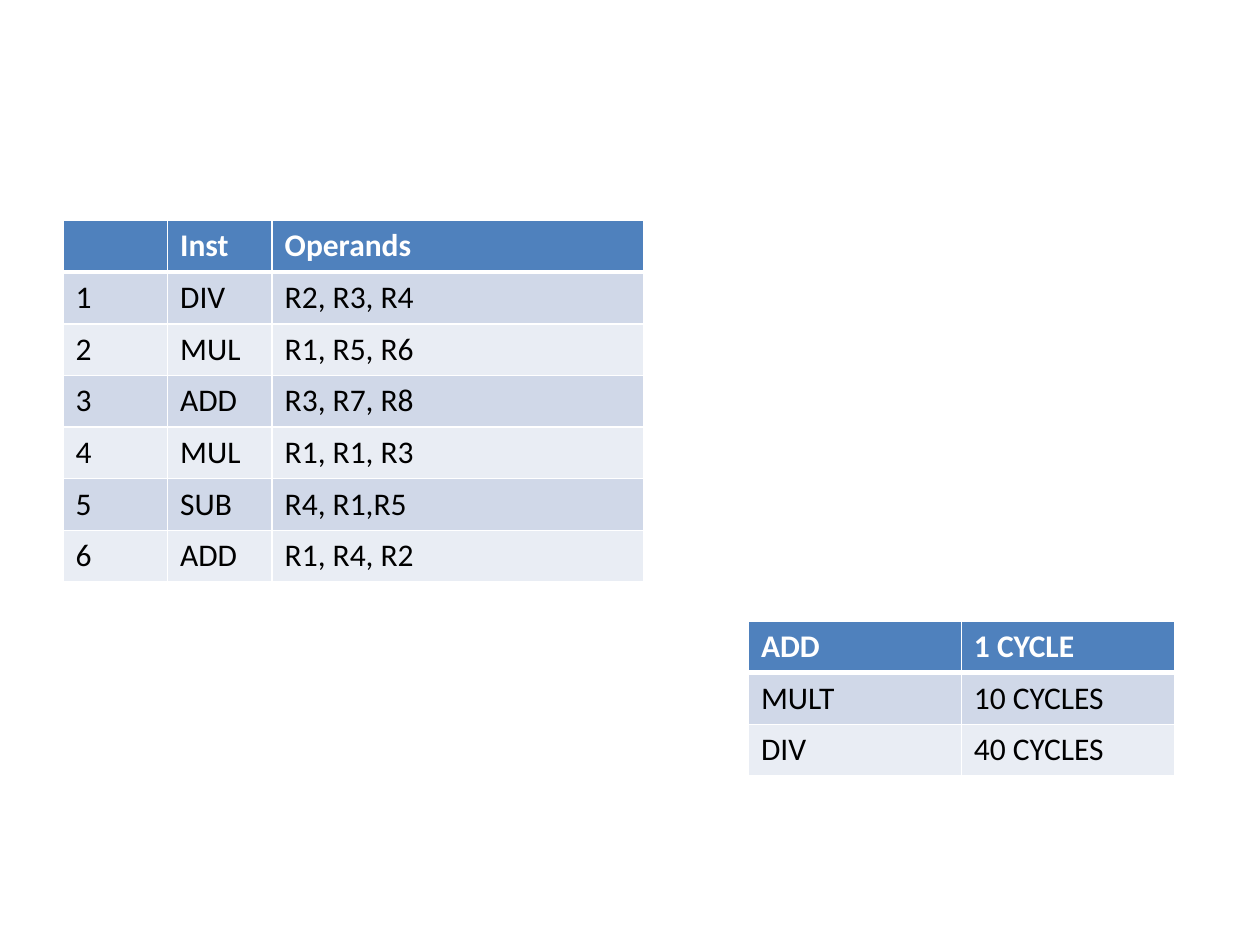
from pptx import Presentation
from pptx.dml.color import RGBColor as RGB
from pptx.oxml import parse_xml
from pptx.oxml.ns import nsdecls
from pptx.util import Inches, Pt

THEME = {
    "header": RGB.from_string("4F81BD"),
    "bands": [RGB.from_string("E9EDF4"), RGB.from_string("D0D8E8")],
    "border": "FFFFFF",
    "header_font": {"name": "Calibri", "size": Pt(18), "bold": True},
    "body_font": {"name": "Calibri", "size": Pt(18), "bold": False},
    "header_text": RGB.from_string("FFFFFF"),
    "body_text": RGB.from_string("000000"),
}
ROW_HEIGHT = 0.41

TABLES = [
    {
        "left": 0.5, "top": 1.75, "cols": [0.83, 0.83, 2.95],
        "rows": [
            ["", "Inst", "Operands"],
            ["1", "DIV", "R2, R3, R4"],
            ["2", "MUL", "R1, R5, R6"],
            ["3", "ADD", "R3, R7, R8"],
            ["4", "MUL", "R1, R1, R3"],
            ["5", "SUB", "R4, R1,R5"],
            ["6", "ADD", "R1, R4, R2"],
        ],
    },
    {
        "left": 5.94, "top": 4.93, "cols": [1.69, 1.69],
        "rows": [
            ["ADD", "1 CYCLE"],
            ["MULT", "10 CYCLES"],
            ["DIV", "40 CYCLES"],
        ],
    },
]


def add_border(cell, side, width):
    cell._tc.get_or_add_tcPr().append(parse_xml(
        f'<a:ln{side} {nsdecls("a")} w="{Pt(width)}"><a:solidFill>'
        f'<a:srgbClr val="{THEME["border"]}"/></a:solidFill></a:ln{side}>'
    ))


prs = Presentation()
prs.slide_width, prs.slide_height = Inches(10), Inches(7.5)
s = prs.slides.add_slide(prs.slide_layouts[6])

for spec_table in TABLES:
    rows, cols = spec_table["rows"], spec_table["cols"]
    table = s.shapes.add_table(
        len(rows), len(cols),
        Inches(spec_table["left"]), Inches(spec_table["top"]),
        Inches(sum(cols)), Inches(ROW_HEIGHT * len(rows)),
    ).table
    for column, width in zip(table.columns, cols):
        column.width = Inches(width)
    for i, row in enumerate(rows):
        table.rows[i].height = Inches(ROW_HEIGHT)
        kind = "body" if i else "header"
        for j, text in enumerate(row):
            cell = table.cell(i, j)
            for side in "LRTB":
                under_header = (i, side) in [(0, "B"), (1, "T")]
                add_border(cell, side, 3 if under_header else 1)
            cell.fill.solid()
            cell.fill.fore_color.rgb = THEME["bands"][i % 2] if i else THEME["header"]
            p = cell.text_frame.paragraphs[0]
            if text:
                r = p.add_run()
                r.text = text
                for name, value in THEME[f"{kind}_font"].items():
                    setattr(r.font, name, value)
                r.font.color.rgb = THEME[f"{kind}_text"]

prs.save("out.pptx")
